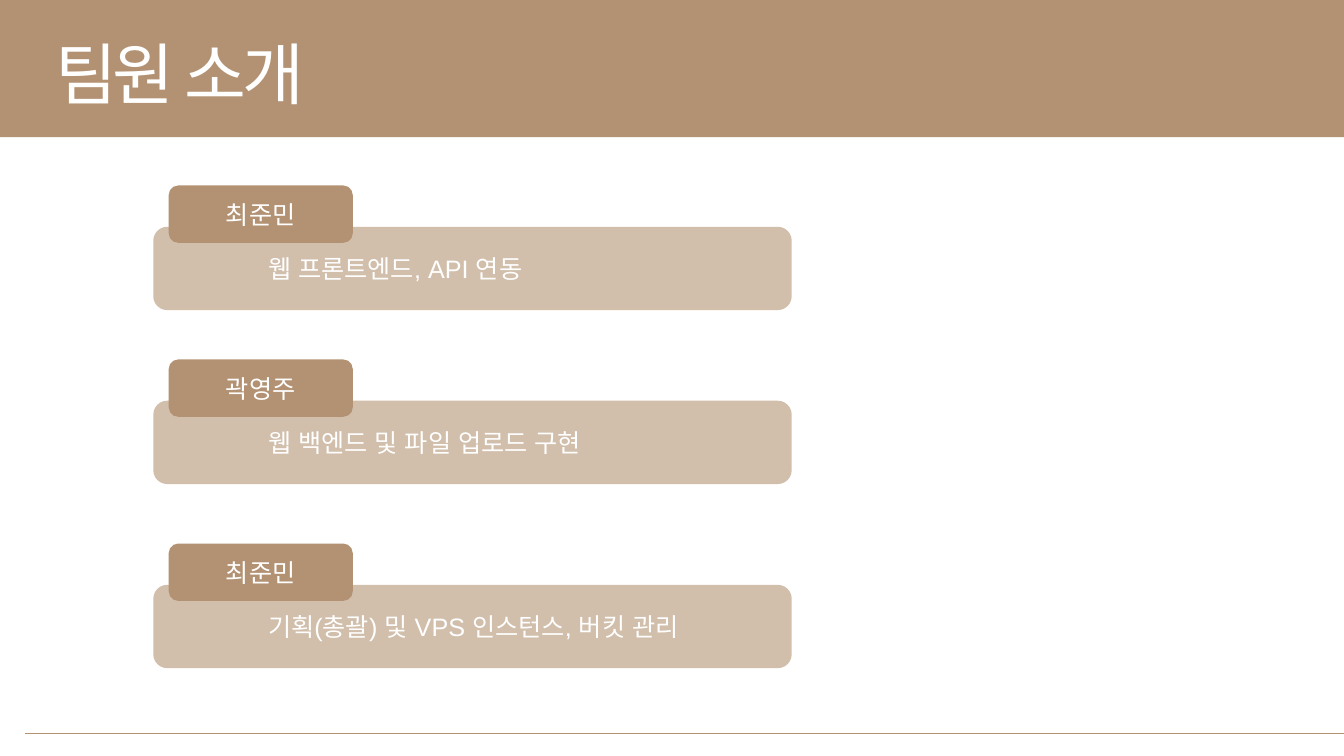
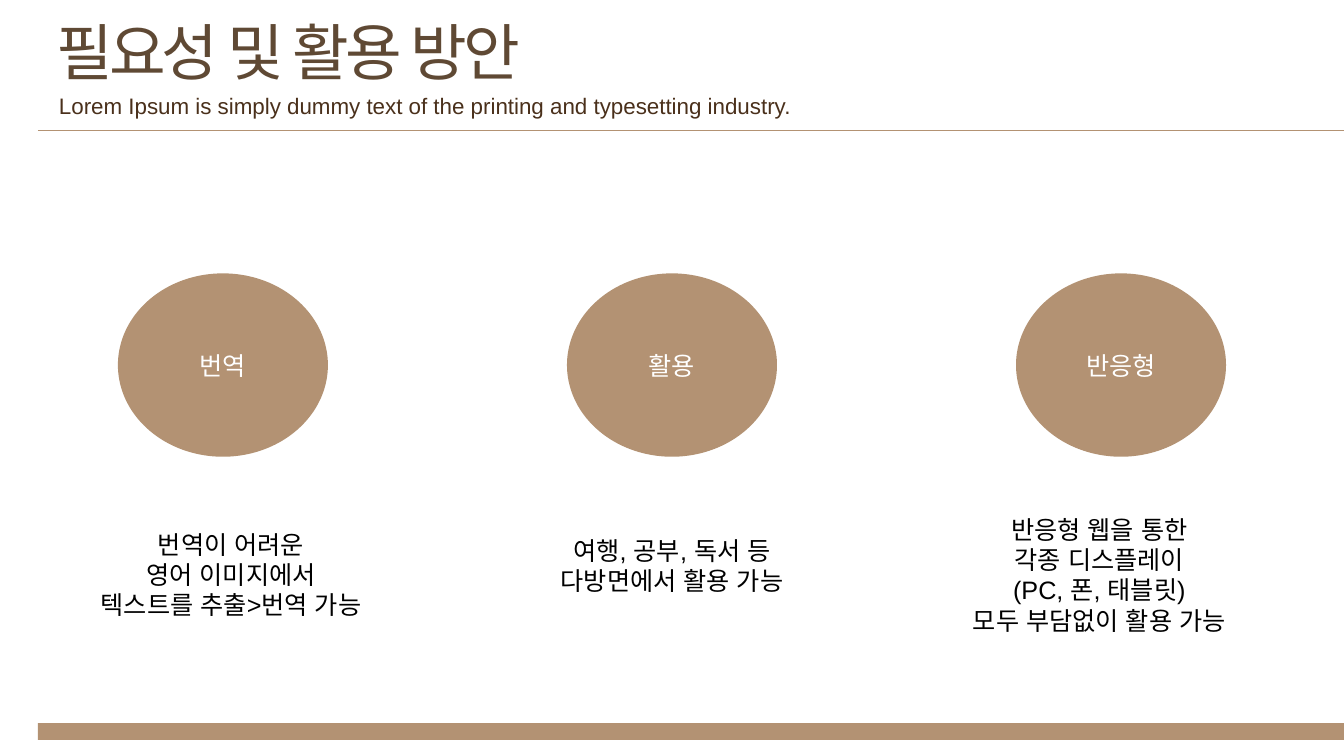
"""Build the team introduction and usage slides."""
import pptx
import pptx.dml.color
import pptx.enum.shapes
import pptx.enum.text
import pptx.oxml.ns
import pptx.util
import lxml.etree

Pt = pptx.util.Pt
RGBColor = pptx.dml.color.RGBColor
SHAPES = pptx.enum.shapes.MSO_SHAPE
ALIGN = pptx.enum.text.PP_ALIGN
ANCHOR = pptx.enum.text.MSO_ANCHOR
qn = pptx.oxml.ns.qn

TAN = RGBColor(0xB3, 0x92, 0x73)
SAND = RGBColor(0xD1, 0xBE, 0xAB)
BROWN = RGBColor(0x5F, 0x49, 0x34)
DARK_BROWN = RGBColor(0x4A, 0x30, 0x1B)
WHITE = RGBColor(0xFF, 0xFF, 0xFF)
BLACK = RGBColor(0, 0, 0)

FONT = "Arial"
BODY_SIZE = 18
TAB_STOP = 72
PAGE_WIDTH, PAGE_HEIGHT = 960, 540

MEMBERS = [
    (162, "최준민", "웹 프론트엔드, API 연동"),
    (286.25, "곽영주", "웹 백엔드 및 파일 업로드 구현"),
    (417.75, "최준민", "기획(총괄) 및 VPS 인스턴스, 버킷 관리"),
]
USES = [
    ("번역", 56, 374.5, ["번역이 어려운", "영어 이미지에서", "텍스트를 추출>번역 가능"]),
    ("활용", 371, 378.5, ["여행, 공부, 독서 등", "다방면에서 활용 가능"]),
    ("반응형", 676.25, 363.75,
     ["반응형 웹을 통한", "각종 디스플레이", "(PC, 폰, 태블릿)", "모두 부담없이 활용 가능"]),
]


def add_tab_stop(para):
    """Give a paragraph one left tab stop."""
    tabs = lxml.etree.SubElement(para._p.get_or_add_pPr(), qn("a:tabLst"))
    lxml.etree.SubElement(tabs, qn("a:tab"), pos=str(int(Pt(TAB_STOP))), algn="l")


def write(frame, lines, size, color, align=ALIGN.LEFT, spacing=0):
    """Write one paragraph per line in a text frame."""
    for index, line in enumerate(lines):
        para = frame.add_paragraph() if index else frame.paragraphs[0]
        para.alignment = align
        if line.startswith("\t"):
            add_tab_stop(para)
        span = para.add_run()
        span.text = line
        span.font.size = Pt(size)
        span.font.name = FONT
        span.font.color.rgb = color
        properties = span.font._element
        lxml.etree.SubElement(properties, qn("a:ea"), typeface=FONT)
        if spacing:
            properties.set("spc", str(spacing * 100))


def add_block(page, kind, left, top, width, height, fill, text="", align=ALIGN.CENTER):
    """Add a flat filled shape with optional white text."""
    block = page.shapes.add_shape(kind, Pt(left), Pt(top), Pt(width), Pt(height))
    block.shadow.inherit = False
    block.fill.solid()
    block.fill.fore_color.rgb = fill
    block.line.fill.background()
    if text:
        block.text_frame.vertical_anchor = ANCHOR.MIDDLE
        write(block.text_frame, [text], BODY_SIZE, WHITE, align)


def add_text(page, left, top, width, height, lines, size, color,
             align=ALIGN.LEFT, spacing=0, wrap=False):
    """Add a text box that grows with its text."""
    box = page.shapes.add_textbox(Pt(left), Pt(top), Pt(width), Pt(height))
    box.text_frame.word_wrap = wrap
    box.text_frame.auto_size = pptx.enum.text.MSO_AUTO_SIZE.SHAPE_TO_FIT_TEXT
    write(box.text_frame, lines, size, color, align, spacing)


def add_title(page, left, top, width, height, text, size, color):
    """Add a tightly spaced slide title."""
    add_text(page, left, top, width, height, [text], size, color, spacing=-3)


def add_rule(page, left, top):
    """Add a thin rule from the left position to the page edge."""
    rule = page.shapes.add_connector(
        pptx.enum.shapes.MSO_CONNECTOR.STRAIGHT, Pt(left), Pt(top), Pt(PAGE_WIDTH), Pt(top))
    rule.line.color.rgb = TAN
    rule.line.width = Pt(0.5)
    lxml.etree.SubElement(rule._element.spPr, qn("a:effectLst"))


def add_member(page, left, top, name, role):
    """Add a role bar with a name tag overlapping its top edge."""
    add_block(page, SHAPES.ROUNDED_RECTANGLE, left, top, 456, 59.5, SAND,
              "\t" + role, ALIGN.LEFT)
    add_block(page, SHAPES.ROUNDED_RECTANGLE, left + 11, top - 29.5, 131.5, 41, TAN, name)


def add_team_page(deck):
    """Add the slide that introduces the team."""
    page = deck.slides.add_slide(deck.slide_layouts[6])
    add_block(page, SHAPES.RECTANGLE, 0, 0, PAGE_WIDTH, 98, TAN)
    add_rule(page, 18, 524)
    add_title(page, 32.25, 19.5, 206.5, 65.5, "팀원 소개", 48, WHITE)
    for top, name, role in MEMBERS:
        add_member(page, 109.5, top, name, role)


def add_uses_page(deck):
    """Add the slide on needs and uses."""
    page = deck.slides.add_slide(deck.slide_layouts[6])
    add_block(page, SHAPES.RECTANGLE, 27, 516.5, PAGE_WIDTH - 27, 12, TAN)
    add_rule(page, 27, 93)
    add_title(page, 33.5, 6.5, 373.5, 60.5, "필요성 및 활용 방안", 44, BROWN)
    add_text(page, 35, 62, 544, 26.5,
             ["Lorem Ipsum is simply dummy text of the printing and typesetting industry."],
             16, DARK_BROWN)
    for index, (label, left, top, lines) in enumerate(USES):
        add_block(page, SHAPES.OVAL, 84.25 + index * 320.75, 195.25, 150, 131, TAN, label)
        add_text(page, left, top, 218, 7.5 + 21.75 * len(lines), lines,
                 BODY_SIZE, BLACK, ALIGN.CENTER, wrap=True)


def main():
    """Build and save the deck."""
    deck = pptx.Presentation()
    deck.slide_width, deck.slide_height = Pt(PAGE_WIDTH), Pt(PAGE_HEIGHT)
    add_team_page(deck)
    add_uses_page(deck)
    deck.save("out.pptx")


if __name__ == "__main__":
    main()
